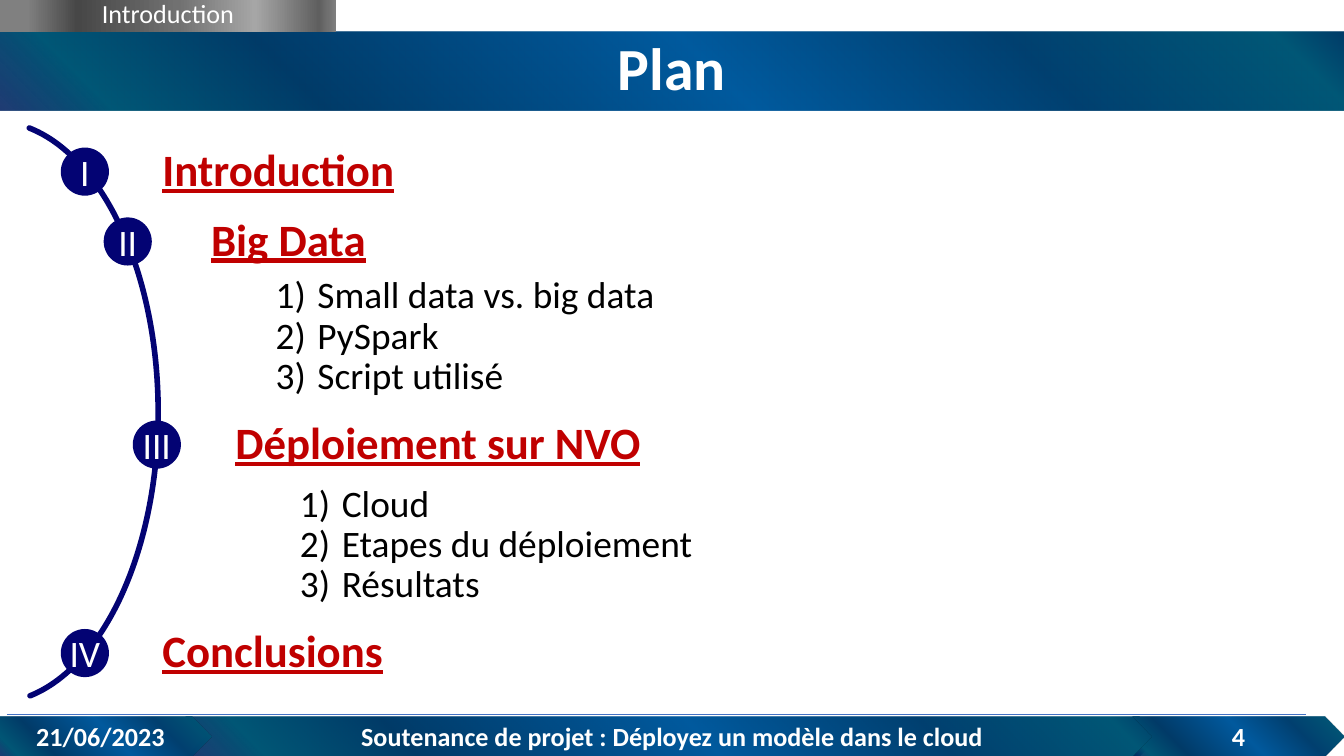
from lxml.etree import SubElement
from pptx import Presentation
from pptx.dml.color import RGBColor
from pptx.enum.shapes import MSO_CONNECTOR, MSO_SHAPE
from pptx.enum.text import MSO_ANCHOR, MSO_AUTO_SIZE, PP_ALIGN
from pptx.oxml.ns import qn
from pptx.util import Cm, Pt

BLUE_STOPS = [(0, "003B68"), (5, "005776"), (24, "004070"), (47, "005A9E"),
              (77, "003B68"), (92, "005776"), (100, "002060", 87)]
GREY_STOPS = [(0, "7F7F7F"), (5, "5F5F5F"), (24, "A6A6A6"), (47, "717171"),
              (77, "474747"), (92, "808080"), (100, "808080")]
NAVY, RED, WHITE, BLACK = "030373", "C00000", "FFFFFF", "000000"
DEFAULT_INSETS = (0.25, 0.13, 0.25, 0.13)
NO_INSETS = (0, 0, 0, 0)


def color(value):
    return RGBColor.from_string(value)


def fill_gradient(shape, stops, angle):
    """Fill with (position, colour[, opacity]) stops; the angle runs clockwise."""
    shape.fill.gradient()
    gradient = shape._element.spPr.find(qn("a:gradFill"))
    for child in list(gradient):
        gradient.remove(child)
    stop_list = SubElement(gradient, qn("a:gsLst"))
    for position, value, *opacity in stops:
        stop = SubElement(stop_list, qn("a:gs"), pos=str(position * 1000))
        tint = SubElement(stop, qn("a:srgbClr"), val=value)
        for percent in opacity:
            SubElement(tint, qn("a:alpha"), val=str(percent * 1000))
    SubElement(gradient, qn("a:lin"), ang=str(angle * 60000), scaled="0")


def write(frame, text, size=14, ink=WHITE, bold=False, underline=False,
          align=PP_ALIGN.CENTER, anchor=MSO_ANCHOR.MIDDLE, insets=NO_INSETS,
          spacing=None, margin=0, indent=0, numbered=False):
    """Fill a text frame, one paragraph for each line of the text."""
    frame.word_wrap = True
    frame.vertical_anchor = anchor
    (frame.margin_left, frame.margin_top,
     frame.margin_right, frame.margin_bottom) = map(Cm, insets)
    for index, line in enumerate(text.split("\n")):
        para = frame.add_paragraph() if index else frame.paragraphs[0]
        properties = para._p.get_or_add_pPr()
        properties.set("marL", str(Cm(margin)))
        properties.set("indent", str(Cm(indent)))
        if numbered:
            SubElement(properties, qn("a:buAutoNum"), type="arabicParenR")
        para.alignment = align
        if spacing:
            para.line_spacing = spacing
        span = para.add_run()
        span.text = line
        font = span.font
        font.name, font.size = "Calibri", Pt(size)
        font.bold, font.underline = bold, underline
        font.color.rgb = color(ink)


class PlanSlide:
    def __init__(self, deck):
        self.page = deck.slides.add_slide(deck.slide_layouts[6])

    def shape(self, kind, left, top, width, height):
        shape = self.page.shapes.add_shape(
            kind, Cm(left), Cm(top), Cm(width), Cm(height))
        shape.shadow.inherit = False
        shape.line.fill.background()
        return shape

    def band(self, kind, place, text, stops=BLUE_STOPS, angle=135, **style):
        band = self.shape(kind, *place)
        fill_gradient(band, stops, angle)
        write(band.text_frame, text, **style)

    def arc(self, left, top, width, height):
        arc = self.shape(MSO_SHAPE.ARC, left, top, width, height)
        arc.adjustments[0], arc.adjustments[1] = 166.284, 49.61
        arc.fill.background()
        arc.line.color.rgb = color(NAVY)
        arc.line.width = Pt(3)
        arc.line._get_or_add_ln().set("cap", "rnd")

    def badge(self, left, top, numeral):
        badge = self.shape(MSO_SHAPE.OVAL, left, top, 0.91, 0.91)
        badge.fill.solid()
        badge.fill.fore_color.rgb = color(NAVY)
        write(badge.text_frame, numeral, size=20)

    def text(self, left, top, width, height, text, **style):
        box = self.page.shapes.add_textbox(
            Cm(left), Cm(top), Cm(width), Cm(height))
        write(box.text_frame, text, align=PP_ALIGN.LEFT,
              anchor=MSO_ANCHOR.TOP, spacing=0.9, **style)
        box.text_frame.auto_size = MSO_AUTO_SIZE.SHAPE_TO_FIT_TEXT

    def section(self, top, numeral, badge_left, left, title, topics=(), gap=0):
        """Draw a numbered heading and, a gap below its top, its topics."""
        self.badge(badge_left, top, numeral)
        self.text(left, top, 15, 0.91, title, size=24, ink=RED, bold=True,
                  underline=True, margin=1.47, indent=-1.47)
        if topics:
            self.text(left, top + gap, 16.4, 2.31, "\n".join(topics), size=20,
                      ink=BLACK, margin=2.01, indent=-0.79, numbered=True)

    def rule(self, left, right, top):
        rule = self.page.shapes.add_connector(
            MSO_CONNECTOR.STRAIGHT, Cm(left), Cm(top), Cm(right), Cm(top))
        rule.line.color.rgb = color("4472C4")
        rule.line.width = Pt(0.5)
        SubElement(rule._element.spPr, qn("a:effectLst"))


def main():
    deck = Presentation()
    deck.slide_width, deck.slide_height = Cm(25.4), Cm(14.29)
    plan = PlanSlide(deck)

    footer_top, footer_height = 13.54, 0.75
    plan.band(MSO_SHAPE.CHEVRON, (3.51, footer_top, 18.39, footer_height),
              "Soutenance de projet : Déployez un modèle dans le cloud", bold=True)
    plan.band(MSO_SHAPE.RECTANGLE, (0, 0.6, 25.4, 1.5), "Plan", size=32,
              bold=True, spacing=0.9, insets=DEFAULT_INSETS)
    plan.band(MSO_SHAPE.CHEVRON, (21.41, footer_top, 3.99, footer_height),
              "4", bold=True, insets=DEFAULT_INSETS)
    plan.band(MSO_SHAPE.PENTAGON, (0, footer_top, 3.99, footer_height),
              "21/06/2023", bold=True, insets=DEFAULT_INSETS)

    plan.arc(-3.23, 2.29, 6.22, 11)
    plan.section(2.79, "I", 1.15, 3.07, "Introduction")
    plan.section(4.11, "II", 1.96, 3.99, "Big Data",
                 ["Small data vs. big data", "PySpark", "Script utilisé"], 1.12)
    plan.section(7.95, "III", 2.51, 4.45, "Déploiement sur NVO",
                 ["Cloud", "Etapes du déploiement", "Résultats"], 1.22)
    plan.section(11.89, "IV", 1.15, 3.07, "Conclusions")

    plan.rule(0.13, 24.69, 13.51)
    plan.band(MSO_SHAPE.RECTANGLE, (0, 0, 6.35, 0.6), "Introduction",
              GREY_STOPS, 180, insets=(0, 0, 0, 0.1))
    deck.save("out.pptx")


if __name__ == "__main__":
    main()
